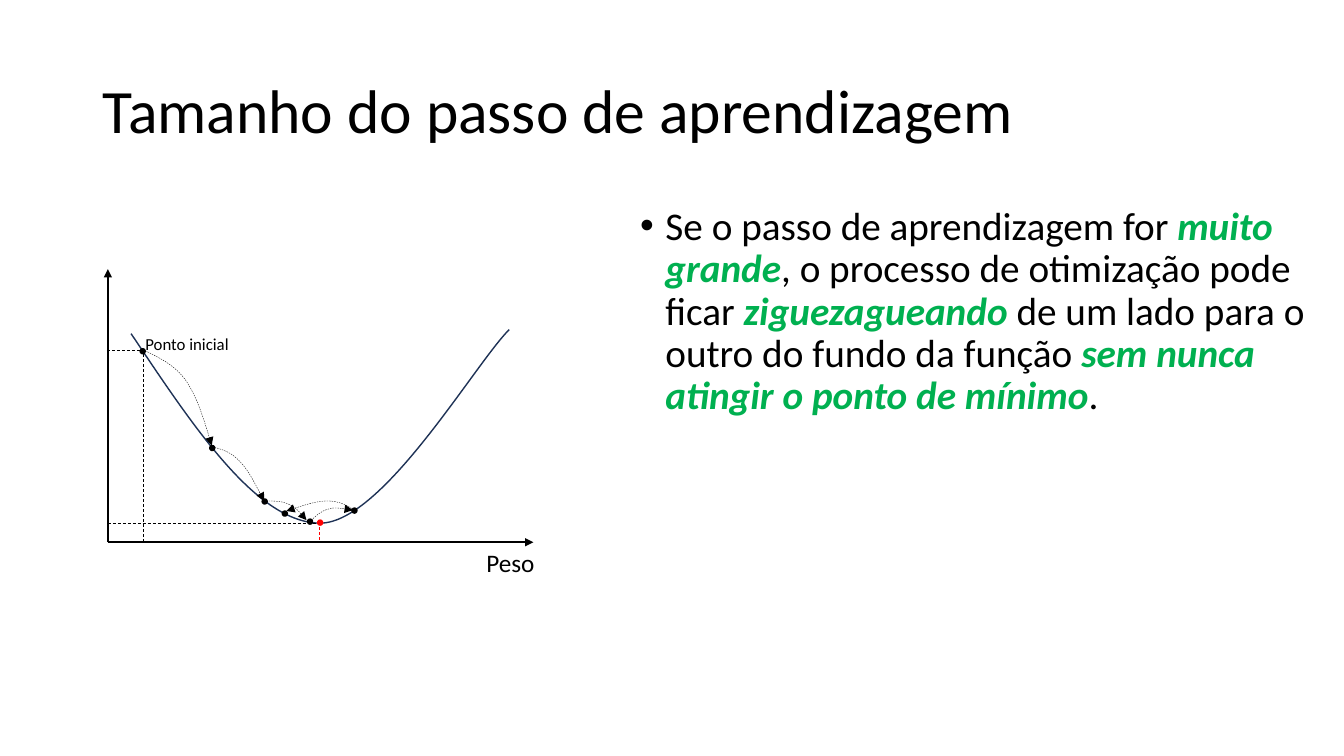
from lxml import etree
from pptx import Presentation
from pptx.dml.color import RGBColor
from pptx.enum import dml, shapes, text
from pptx.oxml import ns
from pptx.util import Inches, Pt

COLORS = {"black": "000000", "green": "00B050", "red": "FF0000", "navy": "1E3256"}
FONT = "Calibri"
DOT_SIZE = 0.05


def color(name):
    return RGBColor.from_string(COLORS[name])


def add_run(paragraph, words, size, color_name="black", emphasis=False):
    run = paragraph.add_run()
    run.text = words
    run.font.name = FONT
    run.font.size = Pt(size)
    run.font.bold = run.font.italic = emphasis
    run.font.color.rgb = color(color_name)


def place(shape, left, top, width, height):
    shape.left, shape.top = Inches(left), Inches(top)
    shape.width, shape.height = Inches(width), Inches(height)


def style_line(line, color_name, width, dashed=False, arrow=False):
    line.color.rgb = color(color_name)
    line.width = Pt(width)
    if dashed:
        line.dash_style = dml.MSO_LINE.DASH
    if arrow:
        properties = line._get_or_add_ln()
        etree.SubElement(properties, ns.qn("a:tailEnd"), type="triangle")


def add_line(slide, start, end, color_name="black", width=0.5, dashed=True, arrow=False):
    connector = slide.shapes.add_connector(
        shapes.MSO_CONNECTOR.STRAIGHT, *map(Inches, start + end))
    style_line(connector.line, color_name, width, dashed, arrow)
    etree.SubElement(connector._element.spPr, ns.qn("a:effectLst"))


def add_curve(slide, points, color_name="black", width=0.25, dashed=True, arrow=True):
    """Draw Bézier pieces: a start point, then three points for each piece."""
    start, *rest = [(Inches(x), Inches(y)) for x, y in points]
    builder = slide.shapes.build_freeform(*start)
    builder.add_line_segments(rest, close=False)
    curve = builder.convert_to_shape()
    segments = list(curve._element.iter(ns.qn("a:lnTo")))
    outline = segments[0].getparent()
    for first in range(0, len(segments), 3):
        bezier = etree.SubElement(outline, ns.qn("a:cubicBezTo"))
        for segment in segments[first:first + 3]:
            bezier.append(segment[0])
            outline.remove(segment)
    curve.shadow.inherit = False
    curve.fill.background()
    style_line(curve.line, color_name, width, dashed, arrow)


def add_dot(slide, left, top, color_name="black"):
    dot = slide.shapes.add_shape(
        shapes.MSO_SHAPE.OVAL, *map(Inches, (left, top, DOT_SIZE, DOT_SIZE)))
    dot.shadow.inherit = False
    dot.fill.solid()
    dot.fill.fore_color.rgb = color(color_name)
    style_line(dot.line, color_name, 1)


def add_label(slide, words, box, size, alignment):
    label = slide.shapes.add_textbox(*map(Inches, box))
    label.text_frame.word_wrap = True
    paragraph = label.text_frame.paragraphs[0]
    paragraph.alignment = alignment
    add_run(paragraph, words, size)


def fill_title(slide, words):
    title = slide.shapes.title
    place(title, 0.92, 0.4, 11.5, 1.45)
    title.text_frame.vertical_anchor = text.MSO_ANCHOR.MIDDLE
    title.text_frame.auto_size = text.MSO_AUTO_SIZE.NONE
    paragraph = title.text_frame.paragraphs[0]
    paragraph.alignment = text.PP_ALIGN.LEFT
    paragraph.line_spacing = 0.9
    add_run(paragraph, words, 44)


def fill_body(slide, runs):
    body = slide.placeholders[1]
    place(body, 6.25, 2, 6.87, 5.5)
    body.text_frame.auto_size = text.MSO_AUTO_SIZE.NONE
    paragraph = body.text_frame.paragraphs[0]
    properties = paragraph._p.get_or_add_pPr()
    properties.set("marL", str(Inches(0.25)))
    properties.set("indent", str(Inches(-0.25)))
    etree.SubElement(properties, ns.qn("a:buFont"), typeface="Arial")
    etree.SubElement(properties, ns.qn("a:buChar"), char="•")
    paragraph.line_spacing = 0.9
    paragraph.space_before = Pt(0)
    for words, emphasis in runs:
        add_run(paragraph, words, 28, "green" if emphasis else "black", emphasis)


def draw_axes(slide):
    origin = (1.07, 5.38)
    for end in ((5.29, 5.38), (1.07, 2.67)):
        add_line(slide, origin, end, width=1.5, dashed=False, arrow=True)
    add_label(slide, "Peso", (4.7, 5.38, 0.7, 0.4), 18, text.PP_ALIGN.RIGHT)


def draw_descent(slide):
    # Guides to the minimum and to the starting point
    add_line(slide, (1.07, 5.19), (3.18, 5.19))
    add_line(slide, (3.17, 5.18), (3.17, 5.37), "red")
    add_line(slide, (1.06, 3.48), (1.42, 3.48))
    add_line(slide, (1.42, 3.46), (1.42, 5.39))
    add_label(slide, "Ponto inicial", (1.27, 3.26, 1.17, 0.3), 12, text.PP_ALIGN.CENTER)

    # Visited points and the minimum
    add_dot(slide, 3.15, 5.16, "red")
    for left, top in ((1.39, 3.46), (2.08, 4.42), (2.6, 4.95),
                      (3.05, 5.15), (3.49, 5.04), (2.8, 5.07)):
        add_dot(slide, left, top)

    # Steps between points
    steps = (
        ((1.44, 3.48), (1.58, 3.55), (1.73, 3.62), (1.84, 3.77),
         (1.95, 3.93), (2.03, 4.18), (2.1, 4.42)),
        ((2.13, 4.44), (2.21, 4.46), (2.3, 4.49), (2.38, 4.58),
         (2.46, 4.66), (2.54, 4.82), (2.62, 4.97)),
        ((2.64, 4.97), (2.72, 4.97), (2.8, 4.97), (2.86, 5),
         (2.93, 5.03), (2.99, 5.1), (3.04, 5.16)),
        ((3.07, 5.18), (3.13, 5.12), (3.18, 5.07), (3.26, 5.05),
         (3.33, 5.03), (3.41, 5.05), (3.5, 5.06)),
        ((3.53, 5.07), (3.45, 5.02), (3.37, 4.97), (3.25, 4.97),
         (3.14, 4.97), (2.99, 5.02), (2.84, 5.07)),
    )
    for step in steps:
        add_curve(slide, step)


def main():
    presentation = Presentation()
    presentation.slide_width = Inches(13.33)
    presentation.slide_height = Inches(7.5)
    slide = presentation.slides.add_slide(presentation.slide_layouts[1])

    # Text
    fill_title(slide, "Tamanho do passo de aprendizagem")
    fill_body(slide, (
        ("Se o passo de aprendizagem for ", False),
        ("muito grande", True),
        (", o processo de otimização pode ficar ", False),
        ("ziguezagueando", True),
        (" de um lado para o outro do fundo da função ", False),
        ("sem nunca atingir o ponto de mínimo", True),
        (".", False),
    ))

    # Error curve
    add_curve(slide, ((1.3, 3.31), (1.93, 4.25), (2.55, 5.19), (3.18, 5.19),
                      (3.8, 5.18), (4.71, 3.61), (5.05, 3.27)),
              "navy", width=1, dashed=False, arrow=False)
    draw_axes(slide)
    draw_descent(slide)
    presentation.save("out.pptx")


if __name__ == "__main__":
    main()
